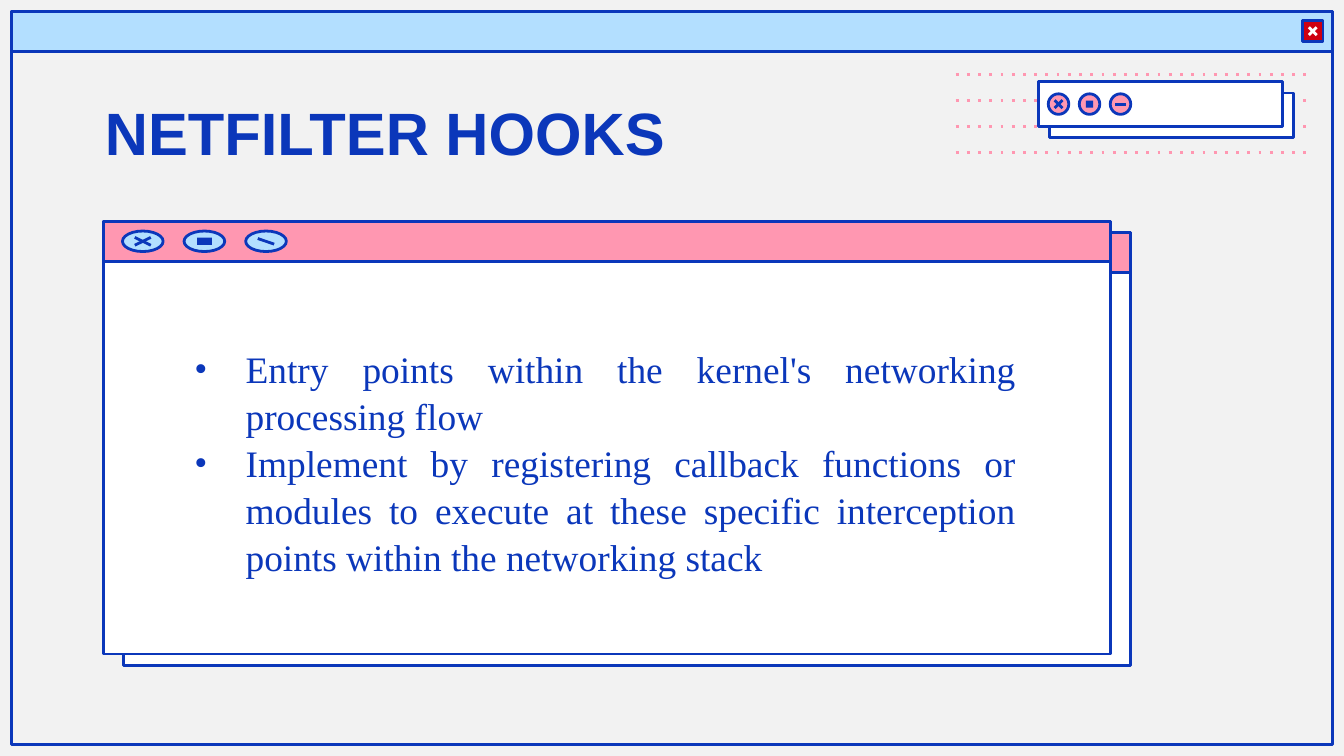
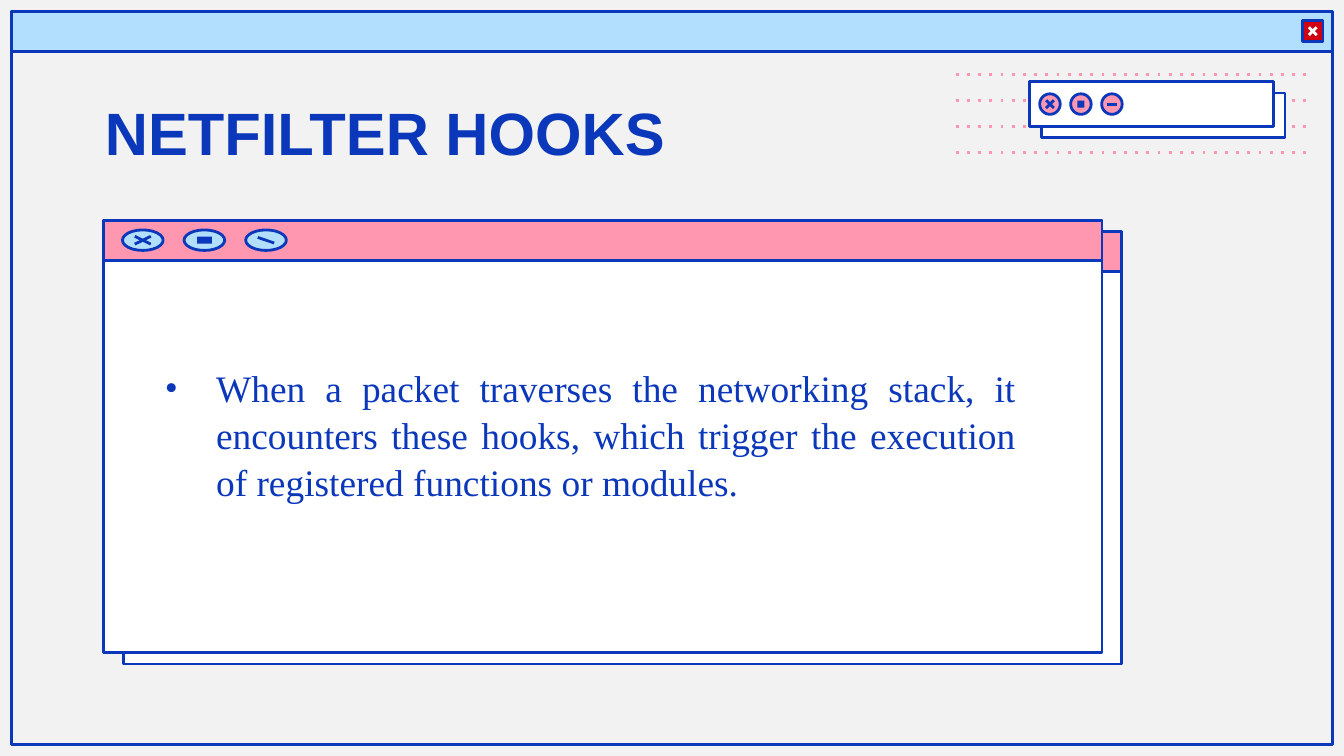
from lxml.etree import SubElement as Sub
from pptx import Presentation
from pptx.dml.color import RGBColor as Rgb
from pptx.enum.shapes import MSO_CONNECTOR as Link, MSO_SHAPE as Kind
from pptx.enum.text import MSO_ANCHOR as Anchor, MSO_AUTO_SIZE as Fit, PP_ALIGN as Align
from pptx.oxml.ns import qn
from pptx.util import Pt

HUE = {"ink": "0B37BA", "sky": "B3DFFF", "pink": "FF97B1",
       "red": "CF0011", "white": "FFFFFF", "page": "F2F2F2"}
EDGE = 1.5
INSET = 7.2
TITLE = "NETFILTER HOOKS"

# One entry per slide: window box, text box, left of the small window, bullets
PAGES = [
    ((55.6, 118.6, 539.5, 231.8), (87.8, 175.7, 463.7, 143.3), 556.3, [
        "Entry points within the kernel's networking processing flow",
        "Implement by registering callback functions or modules to execute "
        "at these specific interception points within the networking stack"]),
    ((55.6, 118, 534.8, 231.8), (72, 160.6, 479.5, 143.3), 551.7, [
        "When a packet traverses the networking stack, it encounters these "
        "hooks, which trigger the execution of registered functions or modules."]),
]


def hue(name):
    return Rgb.from_string(HUE[name])


def shape(slide, box, fill=None, edge="ink", kind=Kind.RECTANGLE):
    item = slide.shapes.add_shape(kind, *map(Pt, box))
    item.shadow.inherit = False
    if fill:
        item.fill.solid()
        item.fill.fore_color.rgb = hue(fill)
    else:
        item.fill.background()
    if edge:
        item.line.color.rgb = hue(edge)
        item.line.width = Pt(EDGE)
    else:
        item.line.fill.background()


def stroke(slide, ends, color="ink", dash=None):
    item = slide.shapes.add_connector(Link.STRAIGHT, *map(Pt, ends))
    item.line.color.rgb = hue(color)
    item.line.width = Pt(EDGE)
    if dash:
        Sub(item.line._ln, qn("a:prstDash"), val=dash)
    Sub(item._element.spPr, qn("a:effectLst"))


def cross(slide, x, y, dx, dy, color="ink"):
    """Draw two crossing strokes around a centre."""
    for sign in (1, -1):
        stroke(slide, (x - dx, y - sign * dy, x + dx, y + sign * dy), color)


def knobs(slide, box, step, fill, arm, block, dash):
    """Draw the close, resize and hide buttons; box is the first one."""
    x, y, w, h = box
    for i in range(3):
        shape(slide, (x + i * step, y, w, h), fill, kind=Kind.OVAL)
    mid, row = x + w / 2, y + h / 2
    cross(slide, mid, row, *arm)
    bw, bh = block
    shape(slide, (mid + step - bw / 2, row - bh / 2, bw, bh), "ink", None)
    mid += 2 * step
    dx, dy = dash
    stroke(slide, (mid - dx, row - dy, mid + dx, row + dy))


def frame(slide, box):
    """Draw the outer window, its bar and its close button."""
    x, y, w, h = box
    bar, side = 21.4, 11
    shape(slide, box)
    shape(slide, (x, y, w, bar), "sky")
    left, top = x + w - 16.2, y + (bar - side) / 2
    shape(slide, (left, top, side, side), "red")
    cross(slide, left + side / 2, top + side / 2, 2.1, 2.1, "white")


def dots(slide, box):
    """Draw four evenly spaced dotted lines."""
    x, y, w, h = box
    for i in range(4):
        row = y + i * h / 3
        stroke(slide, (x, row, x + w, row), "pink", "dot")


def window(slide, box):
    """Draw the content window with its twin behind."""
    x, y, w, h = box
    for dx, dy in ((10.6, 6), (0, 0)):
        shape(slide, (x + dx, y + dy, w, h), "white")
        shape(slide, (x + dx, y + dy, w, 21.4), "pink")
    knobs(slide, (x + 10, y + 5.2, 21.8, 11), 33, "sky",
          (4.3, 2.1), (7.9, 3.8), (4.4, 1.5))


def badge(slide, box):
    """Draw the small window with its twin behind."""
    x, y, w, h = box
    for gap in (6.1, 0):
        shape(slide, (x + gap, y + gap, w, h), "white")
    knobs(slide, (x + 5.3, y + 6.6, 11, 11), 16.6, "pink",
          (2.1, 2.1), (3.8, 3.8), (2.9, 0))


def setup(item, box, anchor):
    """Place a text shape and return its frame."""
    item.left, item.top, item.width, item.height = map(Pt, box)
    text = item.text_frame
    text.word_wrap = True
    text.auto_size = Fit.NONE
    text.vertical_anchor = anchor
    text.margin_left = text.margin_right = Pt(INSET)
    text.margin_top = text.margin_bottom = Pt(INSET)
    return text


def write(para, words, size, face, bold=False):
    run = para.add_run()
    run.text = words
    run.font.size = Pt(size)
    run.font.name = face
    run.font.bold = bold
    run.font.color.rgb = hue("ink")


def head(slide, box):
    para = setup(slide.shapes.title, box, Anchor.TOP).paragraphs[0]
    para.alignment = Align.LEFT
    write(para, TITLE, 32, "Arial", True)


def body(slide, box, items):
    """Write the justified bullet list."""
    text = setup(slide.shapes.add_textbox(*map(Pt, box)), box, Anchor.MIDDLE)
    for i, words in enumerate(items):
        para = text.add_paragraph() if i else text.paragraphs[0]
        para.alignment = Align.JUSTIFY
        para.line_spacing = 1.05
        props = para._p.get_or_add_pPr()
        props.set("marL", str(Pt(36.7)))
        props.set("indent", str(Pt(-27.4)))
        Sub(Sub(props, qn("a:buClr")), qn("a:srgbClr"), val=HUE["ink"])
        Sub(props, qn("a:buFont"), typeface="Times New Roman")
        Sub(props, qn("a:buChar"), char="•")
        write(para, words, 20, "Times New Roman")


def page(deck, pane, text, left, items):
    slide = deck.slides.add_slide(deck.slide_layouts[5])
    frame(slide, (6, 6, 708, 393))
    dots(slide, (512, 40.1, 191, 41.7))
    window(slide, pane)
    head(slide, (49, 43.9, 503.3, 46.8))
    badge(slide, (left, 43.7, 130.6, 24))
    body(slide, text, items)


def main():
    deck = Presentation()
    deck.slide_width, deck.slide_height = Pt(720), Pt(405)
    back = deck.slide_master.background.fill
    back.solid()
    back.fore_color.rgb = hue("page")
    for item in PAGES:
        page(deck, *item)
    deck.save("out.pptx")


if __name__ == "__main__":
    main()
